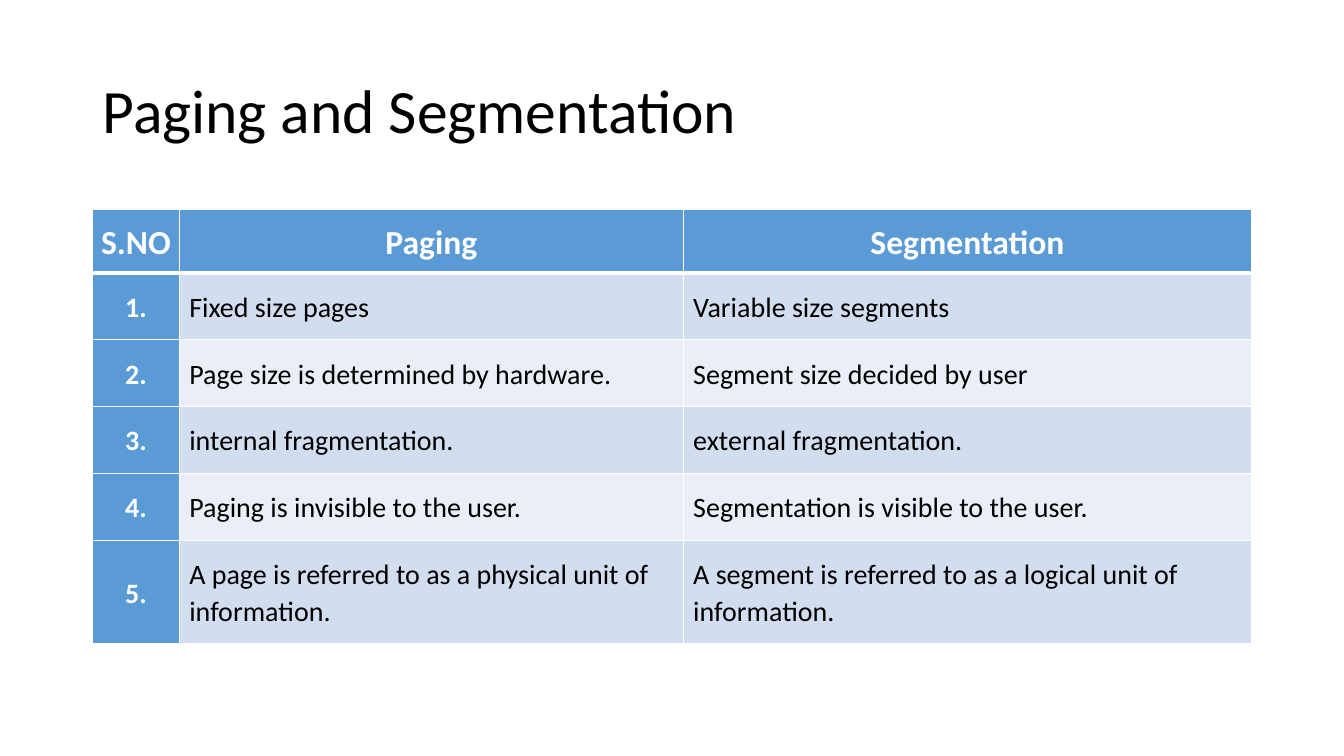
from dataclasses import dataclass

from lxml.etree import SubElement
from pptx import Presentation
from pptx.dml.color import RGBColor
from pptx.enum.text import MSO_ANCHOR, PP_ALIGN
from pptx.oxml.ns import qn
from pptx.util import Cm, Pt


@dataclass(frozen=True)
class Theme:
    font: str = "Calibri"
    ink: str = "000000"
    white: str = "FFFFFF"
    blue: str = "5B9BD5"
    bands: tuple = ("D2DEEF", "EAEFF7")
    title: int = 44
    head: int = 24
    body: int = 20
    thin: int = 1
    thick: int = 3


THEME = Theme()
HEADS = ("S.NO", "Paging", "Segmentation")
PAIRS = (
    ("Fixed size pages", "Variable size segments"),
    ("Page size is determined by hardware.", "Segment size decided by user"),
    ("internal fragmentation.", "external fragmentation."),
    ("Paging is invisible to the user.", "Segmentation is visible to the user."),
    ("A page is referred to as a physical unit of information.",
     "A segment is referred to as a logical unit of information."),
)
WIDTHS = (2.19, 12.7, 14.32)
HEIGHTS = (1.61, 1.66, 1.66, 1.66, 1.66, 2.57)


def style(para, size, color, bold=False):
    for run in para.runs:
        font = run.font
        font.name, font.size, font.bold = THEME.font, Pt(size), bold
        font.color.rgb = RGBColor.from_string(color)


def add_title(slide, text):
    title = slide.shapes.title
    title.left, title.top = Cm(2.33), Cm(1.01)
    title.width, title.height = Cm(29.21), Cm(3.68)
    frame = title.text_frame
    frame.text = text
    frame.vertical_anchor = MSO_ANCHOR.MIDDLE
    para = frame.paragraphs[0]
    para.alignment = PP_ALIGN.LEFT
    para.line_spacing = 0.9
    style(para, THEME.title, THEME.ink)


def add_edges(cell, row):
    """Draw the white cell borders, thick between header and body."""
    props = cell._tc.get_or_add_tcPr()
    for side in "LRTB":
        thick = (row, side) in ((0, "B"), (1, "T"))
        width = Pt(THEME.thick if thick else THEME.thin)
        line = SubElement(props, qn(f"a:ln{side}"), w=str(width))
        fill = SubElement(line, qn("a:solidFill"))
        SubElement(fill, qn("a:srgbClr"), val=THEME.white)


def fill_cell(cell, text, row, col):
    head = row == 0
    strong = head or col == 0
    add_edges(cell, row)
    cell.fill.solid()
    color = THEME.blue if strong else THEME.bands[(row - 1) % 2]
    cell.fill.fore_color.rgb = RGBColor.from_string(color)
    cell.vertical_anchor = MSO_ANCHOR.BOTTOM if head else MSO_ANCHOR.MIDDLE
    cell.margin_left = cell.margin_right = Cm(0.1 if head and col == 0 else 0.25)
    cell.margin_top = cell.margin_bottom = Cm(0.25 if head else 0.38)
    cell.text_frame.text = text
    para = cell.text_frame.paragraphs[0]
    para.alignment = PP_ALIGN.CENTER if strong else PP_ALIGN.LEFT
    para.line_spacing = 1.07
    para.space_after = Pt(8)
    style(para, THEME.head if head else THEME.body,
          THEME.white if strong else THEME.ink, strong)


def add_grid(slide, rows):
    frame = slide.shapes.add_table(
        len(rows), len(WIDTHS), Cm(2.33), Cm(5.27),
        Cm(sum(WIDTHS)), Cm(sum(HEIGHTS)))
    table = frame.table
    table.first_col = True
    for column, width in zip(table.columns, WIDTHS):
        column.width = Cm(width)
    for line, height in zip(table.rows, HEIGHTS):
        line.height = Cm(height)
    for row, texts in enumerate(rows):
        for col, text in enumerate(texts):
            fill_cell(table.cell(row, col), text, row, col)


def main():
    deck = Presentation()
    deck.slide_width, deck.slide_height = Cm(33.87), Cm(19.05)
    slide = deck.slides.add_slide(deck.slide_layouts[5])
    add_title(slide, "Paging and Segmentation")
    body = [(f"{num}.", *pair) for num, pair in enumerate(PAIRS, 1)]
    add_grid(slide, [HEADS, *body])
    deck.save("out.pptx")


if __name__ == "__main__":
    main()
